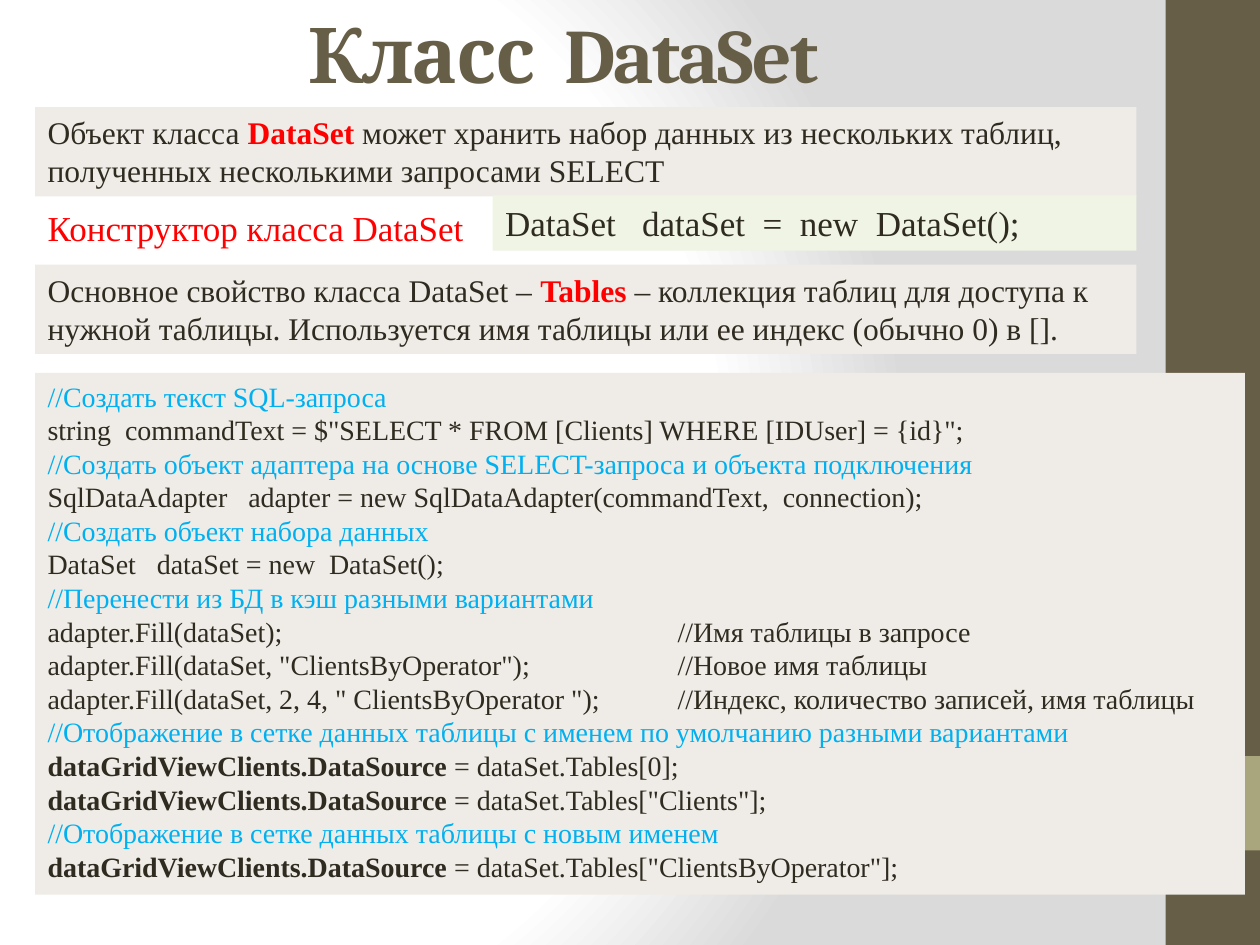
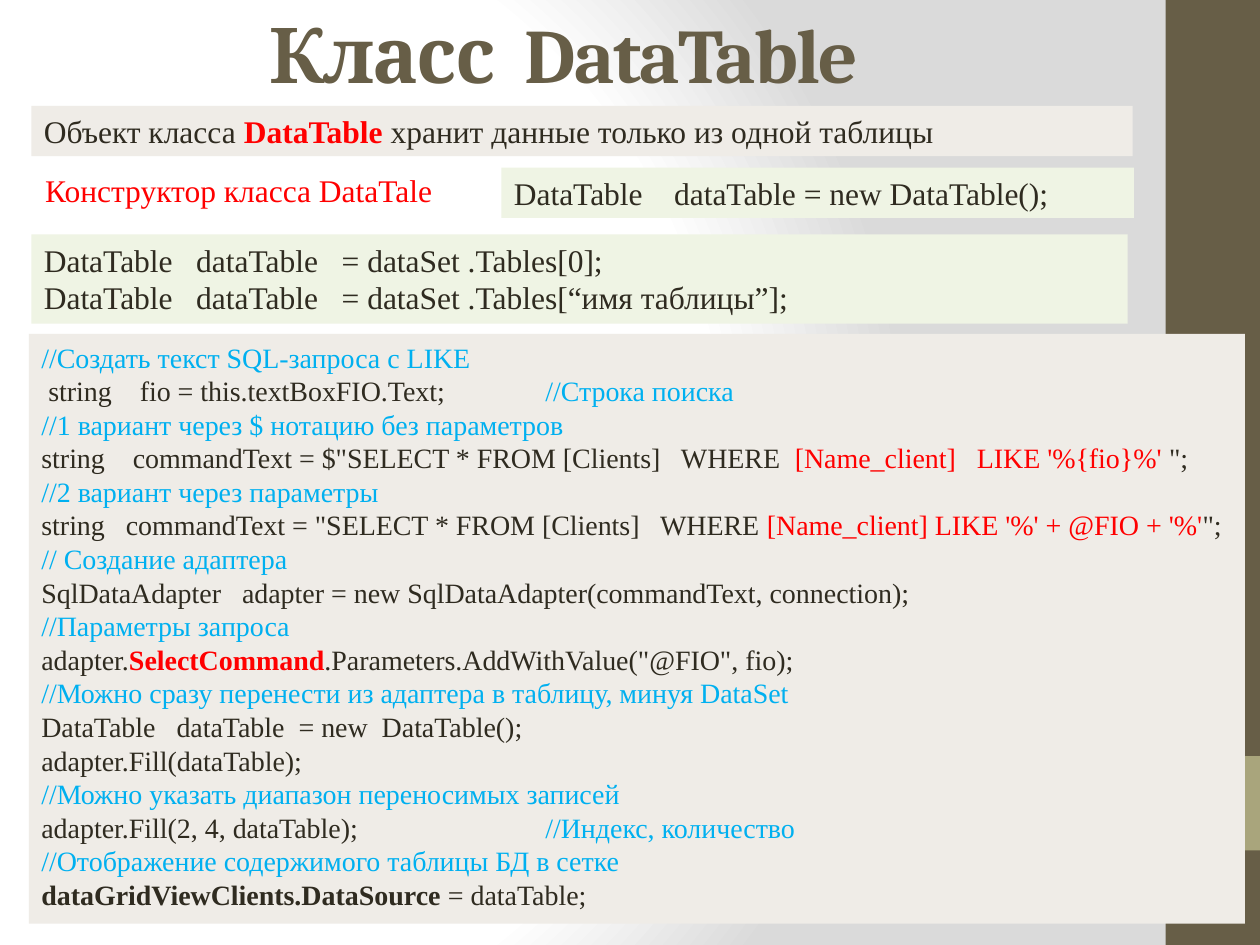
from dataclasses import dataclass
from typing import NamedTuple

import pptx
import pptx.dml.color
import pptx.enum.shapes
import pptx.enum.text
import pptx.oxml
import pptx.oxml.ns
import pptx.util
from pptx.util import Inches

COLORS = {
    "white": "FFFFFF",
    "grey": "DADADA",
    "brown": "675E47",
    "olive": "A9A57C",
    "beige": "EFECE7",
    "green": "EFF4E4",
    "ink": "2F2B20",
    "red": "FF0000",
    "comment": "00B0F0",
}
TITLE_FONT = "Cambria"
BODY_FONT = "Times New Roman"


class Run(NamedTuple):
    text: str
    color: str = "ink"
    bold: bool = False


Line = list[Run]


@dataclass
class Box:
    left: float
    top: float
    width: float
    height: float
    lines: list[Line]
    size: int = 18
    fill: str | None = "beige"
    tab: float | None = None


@dataclass
class Page:
    title: str
    boxes: list[Box]


def code(text: str) -> Line:
    return [Run(text)]


def note(text: str) -> Line:
    return [Run(text, "comment")]


def key(text: str) -> Run:
    return Run(text, "red", True)


def show_in_grid(source: str) -> Line:
    """Line of code that binds a data source to the grid."""
    return [Run("dataGridViewClients.DataSource ", bold=True), Run(f"= {source};")]


DATA_SET_CODE = [
    note("//Создать текст SQL-запроса"),
    code('string  commandText = $"SELECT * FROM [Clients] WHERE [IDUser] = {id}";'),
    note("//Создать объект адаптера на основе SELECT-запроса и объекта подключения"),
    code("SqlDataAdapter   adapter = new SqlDataAdapter(commandText,  connection);"),
    note("//Создать объект набора данных"),
    code("DataSet   dataSet = new  DataSet();"),
    note("//Перенести из БД в кэш разными вариантами"),
    code("adapter.Fill(dataSet);\t//Имя таблицы в запросе"),
    code('adapter.Fill(dataSet, "ClientsByOperator");\t//Новое имя таблицы'),
    code('adapter.Fill(dataSet, 2, 4, " ClientsByOperator ");'
         "\t//Индекс, количество записей, имя таблицы"),
    note("//Отображение в сетке данных таблицы с именем по умолчанию разными вариантами"),
    show_in_grid("dataSet.Tables[0]"),
    show_in_grid('dataSet.Tables["Clients"]'),
    note("//Отображение в сетке данных таблицы с новым именем"),
    show_in_grid('dataSet.Tables["ClientsByOperator"]'),
]

DATA_TABLE_CODE = [
    note("//Создать текст SQL-запроса с LIKE"),
    code(" string    fio = this.textBoxFIO.Text;\t") + note("//Строка поиска"),
    note("//1 вариант через $ нотацию без параметров"),
    [Run('string    commandText = $"SELECT * FROM [Clients]   WHERE  '),
     Run("[Name_client]   LIKE '%{fio}%' ", "red"), Run('";')],
    note("//2 вариант через параметры"),
    [Run('string   commandText = "SELECT * FROM [Clients]   WHERE '),
     Run("[Name_client] LIKE '%' + @FIO + '%'", "red"), Run('";')],
    note("// Создание адаптера"),
    code("SqlDataAdapter   adapter = new SqlDataAdapter(commandText, connection);"),
    note("//Параметры запроса"),
    [Run("adapter."), key("SelectCommand"), Run('.Parameters.AddWithValue("@FIO", fio);')],
    note("//Можно сразу перенести из адаптера в таблицу, минуя DataSet"),
    code("DataTable   dataTable  = new  DataTable();"),
    code("adapter.Fill(dataTable);"),
    note("//Можно указать диапазон переносимых записей"),
    code("adapter.Fill(2, 4, dataTable);\t") + note("//Индекс, количество"),
    note("//Отображение содержимого таблицы БД в сетке"),
    show_in_grid("dataTable"),
]

PAGES = [
    Page("Класс  DataSet", [
        Box(0.28, 0.85, 8.74, 0.71, [[
            Run("Объект класса "), key("DataSet"),
            Run(" может хранить набор данных из нескольких таблиц, "
                "полученных несколькими запросами SELECT")]]),
        Box(3.91, 1.55, 5.11, 0.44, [code("DataSet   dataSet  =  new  DataSet();")],
            size=20, fill="green"),
        Box(0.28, 1.59, 3.62, 0.44, [[Run("Конструктор класса DataSet", "red")]],
            size=20, fill=None),
        Box(0.28, 2.1, 8.74, 0.71, [[
            Run("Основное свойство класса DataSet – "), key("Tables "),
            Run("– коллекция таблиц для доступа к нужной таблицы. "
                "Используется имя таблицы или ее индекс (обычно 0) в [].")]]),
        Box(0.28, 2.96, 9.6, 4.14, DATA_SET_CODE, size=16, tab=5),
    ]),
    Page("Класс  DataTable", [
        Box(0.25, 0.84, 8.74, 0.4, [[
            Run("Объект класса "), key("DataTable "),
            Run("хранит данные только из одной таблицы")]]),
        Box(0.26, 1.31, 3.69, 0.4, [[Run("Конструктор класса DataTale", "red")]], fill=None),
        Box(3.98, 1.33, 5.02, 0.4, [code("DataTable    dataTable = new DataTable();")],
            fill="green"),
        Box(0.25, 1.86, 8.7, 0.71, [
            code("DataTable   dataTable   = dataSet .Tables[0];"),
            code("DataTable   dataTable   = dataSet .Tables[“имя таблицы”];")], fill="green"),
        Box(0.23, 2.65, 9.65, 4.68, DATA_TABLE_CODE, size=16, tab=4),
    ]),
]


def rgb(color: str) -> pptx.dml.color.RGBColor:
    return pptx.dml.color.RGBColor.from_string(COLORS[color])


def set_background(prs) -> None:
    """Give the slide master a radial gradient from white to grey."""
    master = prs.slide_master
    master.background.fill.gradient()
    grad = master.element.find(".//" + pptx.oxml.ns.qn("p:bg")).find(
        ".//" + pptx.oxml.ns.qn("a:gradFill"))
    stops = "".join(
        f'<a:gs pos="{pos * 1000}"><a:srgbClr val="{COLORS[color]}"/></a:gs>'
        for pos, color in ((0, "white"), (75, "white"), (100, "grey")))
    radial = pptx.oxml.parse_xml(
        f'<a:gradFill {pptx.oxml.ns.nsdecls("a")} rotWithShape="1"><a:gsLst>{stops}</a:gsLst>'
        '<a:path path="circle">'
        '<a:fillToRect l="20000" t="50000" r="100000" b="50000"/></a:path></a:gradFill>')
    grad.getparent().replace(grad, radial)


def add_rect(slide, left: float, top: float, width: float, height: float, fill: str):
    sp = slide.shapes.add_shape(
        pptx.enum.shapes.MSO_SHAPE.RECTANGLE,
        Inches(left), Inches(top), Inches(width), Inches(height))
    sp.shadow.inherit = False
    sp.fill.solid()
    sp.fill.fore_color.rgb = rgb(fill)
    sp.line.fill.background()
    return sp


def add_textbox(slide, left: float, top: float, width: float, height: float):
    return slide.shapes.add_textbox(
        Inches(left), Inches(top), Inches(width), Inches(height))


def add_run(p, run: Run, font: str, size: int):
    r = p.add_run()
    r.text = run.text
    r.font.name = font
    r.font.size = pptx.util.Pt(size)
    r.font.bold = run.bold
    r.font.color.rgb = rgb(run.color)
    return r


def set_tab(p, pos: float) -> None:
    p._p.get_or_add_pPr().append(pptx.oxml.parse_xml(
        f'<a:tabLst {pptx.oxml.ns.nsdecls("a")}><a:tab pos="{Inches(pos)}" algn="l"/></a:tabLst>'))


def add_title(slide, title: str) -> None:
    tf = add_textbox(slide, 0, 0, 8.95, 0.84).text_frame
    tf.word_wrap = True
    tf.vertical_anchor = pptx.enum.text.MSO_ANCHOR.MIDDLE
    p = tf.paragraphs[0]
    p.alignment = pptx.enum.text.PP_ALIGN.CENTER
    r = add_run(p, Run(title, "brown", True), TITLE_FONT, 44)
    r.font._element.set("spc", "-100")


def add_box(slide, box: Box) -> None:
    place = (box.left, box.top, box.width, box.height)
    sp = add_rect(slide, *place, box.fill) if box.fill else add_textbox(slide, *place)
    tf = sp.text_frame
    tf.word_wrap = True
    tf.auto_size = pptx.enum.text.MSO_AUTO_SIZE.SHAPE_TO_FIT_TEXT
    tf.vertical_anchor = pptx.enum.text.MSO_ANCHOR.TOP
    for i, line in enumerate(box.lines):
        p = tf.add_paragraph() if i else tf.paragraphs[0]
        p.alignment = pptx.enum.text.PP_ALIGN.LEFT
        if box.tab:
            set_tab(p, box.tab)
        for run in line:
            add_run(p, run, BODY_FONT, box.size)


def add_page(prs, page: Page) -> None:
    slide = prs.slides.add_slide(prs.slide_layouts[6])
    add_rect(slide, 9.25, 0, 0.75, 7.5, "brown")
    add_rect(slide, 9.25, 6, 0.75, 0.75, "olive")
    add_title(slide, page.title)
    for box in page.boxes:
        add_box(slide, box)


def main() -> None:
    prs = pptx.Presentation()
    prs.slide_width = Inches(10)
    prs.slide_height = Inches(7.5)
    set_background(prs)
    for page in PAGES:
        add_page(prs, page)
    prs.save("out.pptx")


if __name__ == "__main__":
    main()
